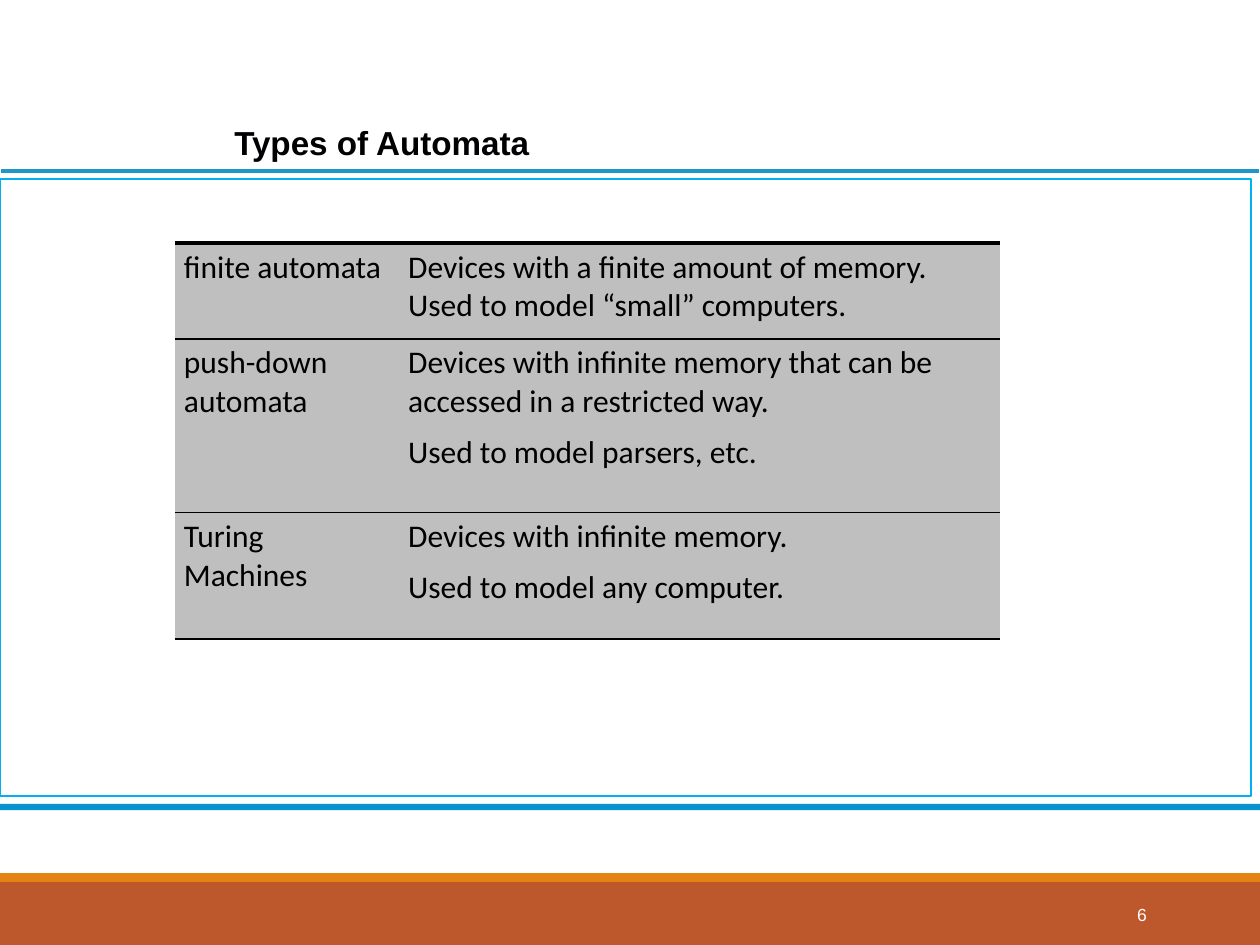
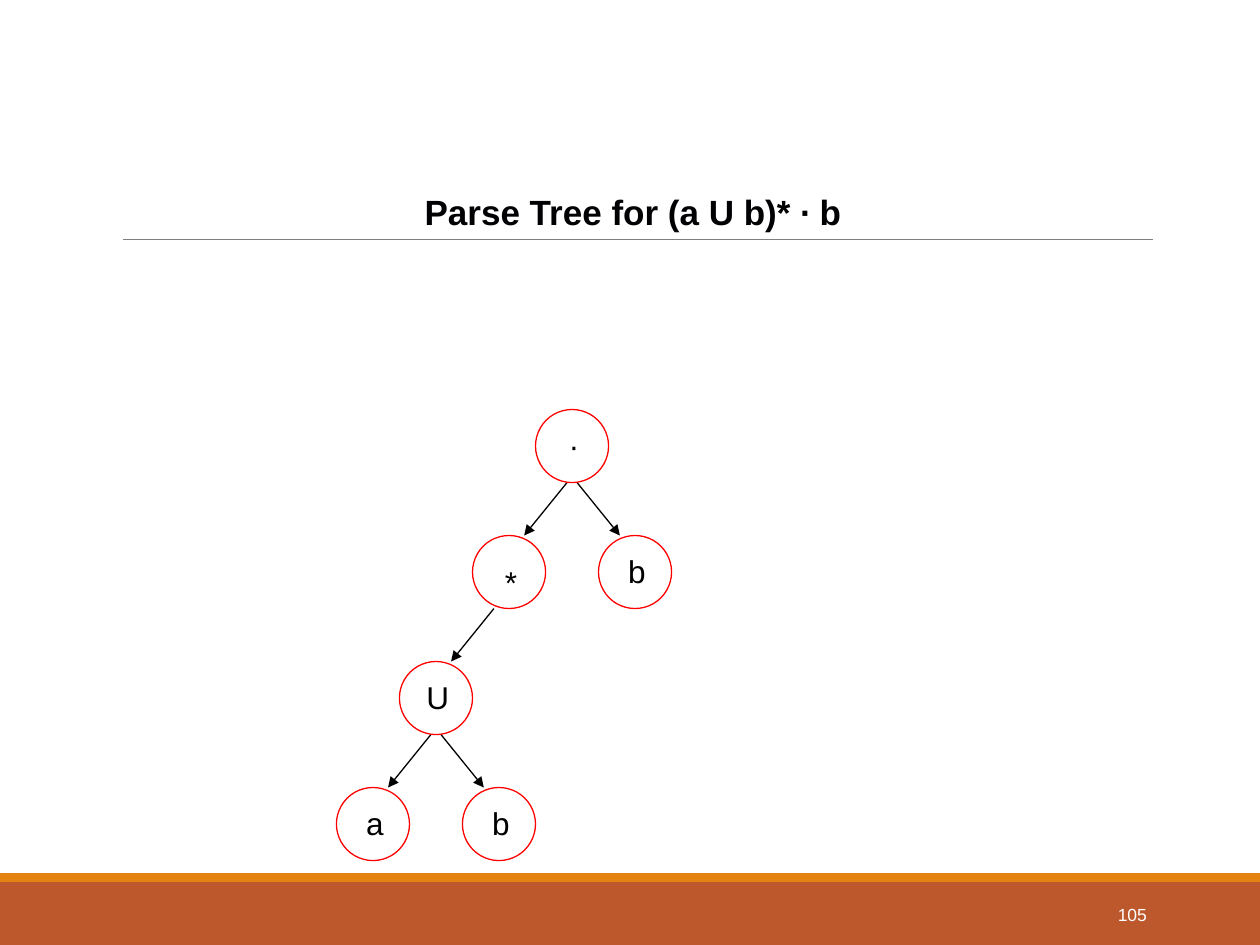
import pptx
import pptx.dml.color
import pptx.enum.shapes
import pptx.enum.text
import pptx.oxml
import pptx.oxml.ns
import pptx.util
from lxml import etree

Inches = pptx.util.Inches
Pt = pptx.util.Pt
Shape = pptx.enum.shapes.MSO_SHAPE
Align = pptx.enum.text.PP_ALIGN
Anchor = pptx.enum.text.MSO_ANCHOR
qn = pptx.oxml.ns.qn

AUTOMATA = [
    ("finite automata", "Devices with a finite amount of memory.\vUsed to model “small” computers."),
    ("push-down automata",
     "Devices with infinite memory that can be accessed in a restricted way.\nUsed to model parsers, etc."),
    ("Turing Machines", "Devices with infinite memory.\nUsed to model any computer."),
]
COLUMN_WIDTHS = (1.78, 4.77)
ROW_HEIGHTS = (0.76, 1.38, 1)
RULE_WEIGHTS = (2.25, 1, 0.5, 1)

NODE_SIZE = 0.58
TREE_TOP = 3.25
LEVEL_STEP = 1
NODES = {
    "concat": ("∙", 4.25, 0),
    "star": ("*", 3.75, 1),
    "right b": ("b", 4.75, 1),
    "union": ("U", 3.17, 2),
    "left a": ("a", 2.67, 3),
    "left b": ("b", 3.67, 3),
}
BRANCHES = {
    "concat": ("star", "right b"),
    "star": ("union",),
    "union": ("left a", "left b"),
}


def color(value):
    return pptx.dml.color.RGBColor.from_string(value)


class Deck:
    font = "Arial"
    ink = "000000"
    title_ink = "010103"
    white = "FFFFFF"

    def __init__(self):
        self.deck = pptx.Presentation()
        self.deck.slide_width = Inches(10)
        self.deck.slide_height = Inches(7.5)
        self.page = None

    def new_page(self, number):
        self.page = self.deck.slides.add_slide(self.deck.slide_layouts[5])
        self.shape(Shape.RECTANGLE, 0, 7, 10, 0.5, fill="BD582C")
        self.shape(Shape.RECTANGLE, 0, 6.93, 10, 0.07, fill="E48312")
        self.text(str(number), 8.12, 7.06, 1.08, 0.4, 10, self.white, Align.RIGHT, Anchor.MIDDLE)

    def format_text(self, frame, size, ink, font=None, align=None, bold=False):
        for para in frame.paragraphs:
            para.alignment = align
            for span in para.runs:
                span.font.name = font or self.font
                span.font.size = Pt(size)
                span.font.bold = bold
                span.font.color.rgb = color(ink)

    def title(self, text, left, top, width, height, size, anchor, padded=True):
        box = self.page.shapes.title
        box.left, box.top = Inches(left), Inches(top)
        box.width, box.height = Inches(width), Inches(height)
        frame = box.text_frame
        frame.text = text
        frame.auto_size = pptx.enum.text.MSO_AUTO_SIZE.NONE
        frame.vertical_anchor = anchor
        frame.margin_left = frame.margin_right = Inches(0.1 if padded else 0)
        frame.margin_top = frame.margin_bottom = Inches(0.05 if padded else 0)
        self.format_text(frame, size, self.title_ink, align=Align.CENTER, bold=True)
        return frame

    def text(self, text, left, top, width, height, size, ink, align, anchor=Anchor.TOP, shapes=None):
        shapes = self.page.shapes if shapes is None else shapes
        box = shapes.add_textbox(Inches(left), Inches(top), Inches(width), Inches(height))
        frame = box.text_frame
        frame.word_wrap = True
        frame.vertical_anchor = anchor
        frame.text = text
        self.format_text(frame, size, ink, align=align)

    def shape(self, kind, left, top, width, height, fill=None, line=None, weight=0.75, shapes=None):
        shapes = self.page.shapes if shapes is None else shapes
        shape = shapes.add_shape(kind, Inches(left), Inches(top), Inches(width), Inches(height))
        shape.shadow.inherit = False
        if fill:
            shape.fill.solid()
            shape.fill.fore_color.rgb = color(fill)
        else:
            shape.fill.background()
        if line:
            shape.line.color.rgb = color(line)
            shape.line.width = Pt(weight)
        else:
            shape.line.fill.background()

    def line(self, start, end, ink, weight, arrow=False):
        points = [Inches(value) for value in (*start, *end)]
        line = self.page.shapes.add_connector(pptx.enum.shapes.MSO_CONNECTOR.STRAIGHT, *points)
        line.line.color.rgb = color(ink)
        line.line.width = Pt(weight)
        if arrow:
            etree.SubElement(line.line._get_or_add_ln(), qn("a:tailEnd"), type="triangle")
        etree.SubElement(line._element.spPr, qn("a:effectLst"))

    def cell_border(self, cell, side, weight=None):
        border = etree.SubElement(cell._tc.get_or_add_tcPr(), qn("a:" + side))
        if weight is None:
            etree.SubElement(border, qn("a:noFill"))
        else:
            border.set("w", str(Pt(weight)))
            fill = etree.SubElement(border, qn("a:solidFill"))
            etree.SubElement(fill, qn("a:srgbClr"), val=self.ink)

    def table(self, rows, left, top, widths, heights, rules):
        table = self.page.shapes.add_table(
            len(rows), len(widths), Inches(left), Inches(top),
            Inches(sum(widths)), Inches(sum(heights))).table
        table.first_row = False
        table.horz_banding = False
        for column, width in zip(table.columns, widths):
            column.width = Inches(width)
        for index, texts in enumerate(rows):
            table.rows[index].height = Inches(heights[index])
            for position, text in enumerate(texts):
                cell = table.cell(index, position)
                cell.margin_left = cell.margin_right = Inches(0.07)
                cell.margin_top = cell.margin_bottom = Inches(0.04)
                cell.text_frame.text = text
                self.format_text(cell.text_frame, 18, self.ink, font="Calibri")
                for para in cell.text_frame.paragraphs[1:]:
                    para.space_before = Pt(7.2)
                self.cell_border(cell, "lnL")
                self.cell_border(cell, "lnR")
                self.cell_border(cell, "lnT", rules[index])
                self.cell_border(cell, "lnB", rules[index + 1])
                cell.fill.solid()
                cell.fill.fore_color.rgb = color("BFBFBF")

    def node(self, label, left, top):
        group = self.page.shapes.add_group_shape()
        self.shape(Shape.OVAL, left, top, NODE_SIZE, NODE_SIZE, line="FF0000", shapes=group.shapes)
        drop = 0.17 if label == "*" else 0.08
        self.text(label, left + 0.08, top + drop, 0.45, 0.4, 18, self.ink, Align.CENTER,
                  shapes=group.shapes)

    def branch(self, parent, child, start_offset):
        _, parent_left, parent_level = NODES[parent]
        _, child_left, child_level = NODES[child]
        side = 1 if child_left > parent_left else -1
        middle = NODE_SIZE / 2
        start = (parent_left + middle + side * start_offset,
                 TREE_TOP + parent_level * LEVEL_STEP + NODE_SIZE)
        end = (child_left + middle - side * 0.12, TREE_TOP + child_level * LEVEL_STEP)
        self.line(start, end, self.ink, 0.75, arrow=True)


def add_automata_page(deck):
    deck.new_page(6)
    deck.line((0.01, 1.36), (9.99, 1.36), "1F97C8", 2.25)
    deck.title("Types of Automata", 0.07, 0.97, 5.92, 0.32, 19, Anchor.TOP, padded=False)
    deck.shape(Shape.RECTANGLE, 0, 6.38, 10, 0.05, fill="0793CF")
    deck.shape(Shape.RECTANGLE, 0, 1.42, 9.93, 4.9, fill=deck.white, line="00B0F0", weight=1.25)
    deck.table(AUTOMATA, 1.39, 1.93, COLUMN_WIDTHS, ROW_HEIGHTS, RULE_WEIGHTS)


def add_parse_tree_page(deck):
    deck.new_page(105)
    deck.line((0.98, 1.9), (9.15, 1.9), "7F7F7F", 0.75)
    frame = deck.title("Parse Tree for (a U b)* ∙ b", 0.9, 0.31, 8.25, 1.59, 20, Anchor.BOTTOM)
    frame.paragraphs[0].line_spacing = 0.85
    for parent, children in BRANCHES.items():
        start_offset = 0.04 if len(children) > 1 else 0.12
        for child in children:
            deck.branch(parent, child, start_offset)
    for label, left, level in NODES.values():
        deck.node(label, left, TREE_TOP + level * LEVEL_STEP)


def main():
    deck = Deck()
    add_automata_page(deck)
    add_parse_tree_page(deck)
    deck.deck.save("out.pptx")


if __name__ == "__main__":
    main()
